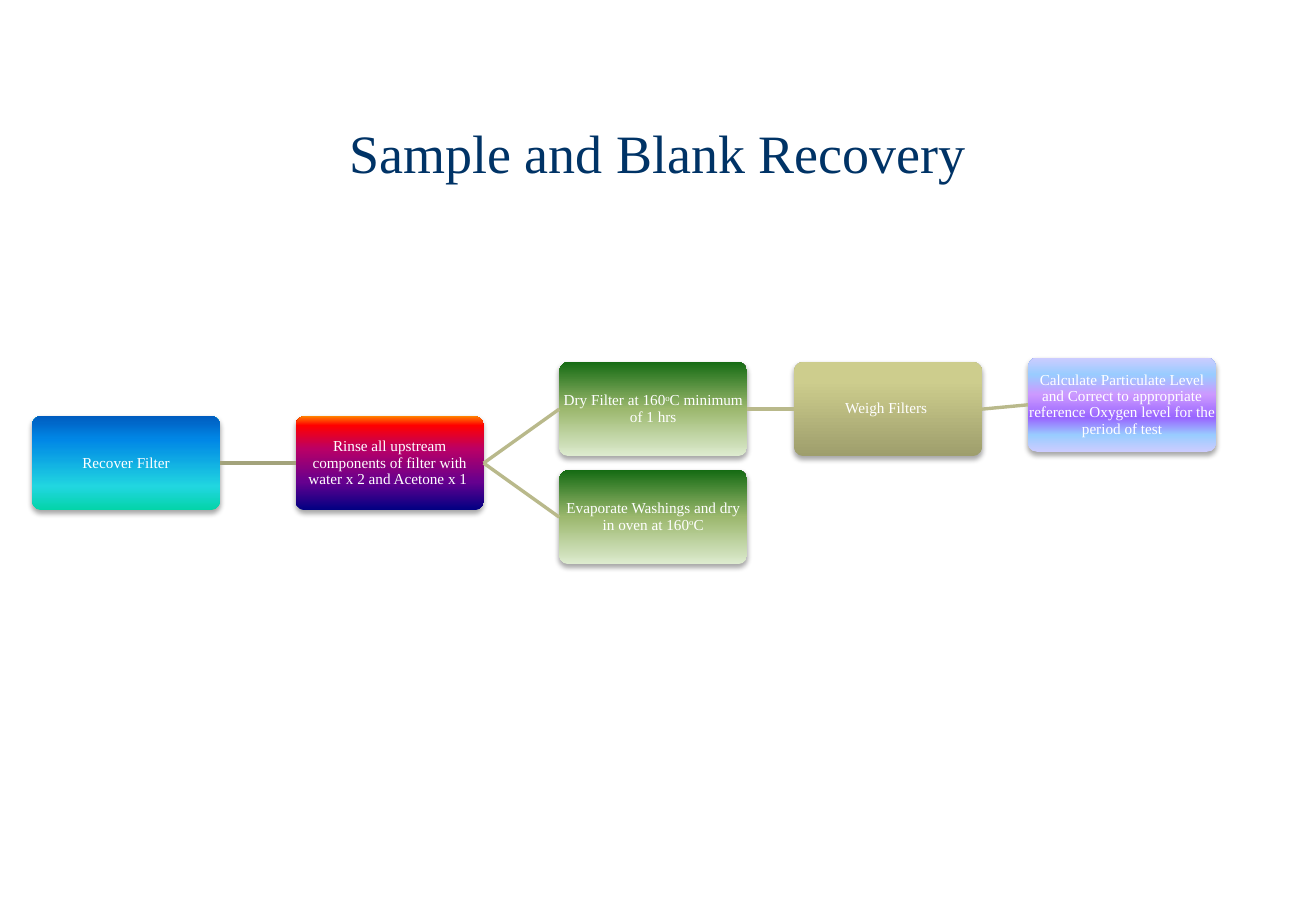
from dataclasses import dataclass

from lxml.etree import SubElement
from pptx import Presentation
from pptx.dml.color import RGBColor as Rgb
from pptx.enum.shapes import MSO_CONNECTOR as Link, MSO_SHAPE as Kind
from pptx.enum.text import MSO_ANCHOR as Anchor, MSO_AUTO_SIZE as Fit, PP_ALIGN as Align
from pptx.oxml import parse_xml
from pptx.oxml.ns import nsdecls, qn
from pptx.shapes.autoshape import Shape
from pptx.slide import Slide
from pptx.text.text import TextFrame
from pptx.util import Cm, Pt

Stops = tuple[tuple[int, str], ...]


@dataclass(frozen=True)
class Theme:
    font: str = "Times New Roman"
    head: str = "003366"
    text: str = "FFFFFF"
    dark: str = "A3A37B"
    pale: str = "B9B98B"
    shade: str = "000000"
    big: int = 32
    small: int = 9
    line: int = 2
    blue: Stops = ((0, "03D4A8"), (25, "21D6E0"), (75, "0087E6"), (100, "005CBF"))
    fire: Stops = ((0, "000082"), (30, "66008F"), (65, "BA0066"), (90, "FF0000"), (100, "FF8200"))
    green: Stops = ((0, "DDEBCF"), (50, "9CB86E"), (100, "156B13"))
    sand: Stops = ((0, "9E9E6C"), (80, "CDCD8D"), (100, "CFCF8C"))
    violet: Stops = ((0, "CCCCFF"), (18, "99CCFF"), (36, "9966FF"),
                     (61, "CC99FF"), (82, "99CCFF"), (100, "CCCCFF"))


@dataclass(frozen=True)
class Step:
    words: tuple[str, ...]  # every second piece is superscript
    left: float
    top: float
    stops: Stops


@dataclass(frozen=True)
class Join:
    start: str
    end: str
    color: str


LOOK = Theme()
WIDE, HIGH = 3.93, 1.97
MID, SHIFT = 8.7, 1.13
UP, DOWN = MID - SHIFT, MID + SHIFT

STEPS = {
    "recover": Step(("Recover Filter",), 0.67, MID, LOOK.blue),
    "rinse": Step(("Rinse all upstream components of filter with water x 2 and Acetone x 1 ",),
                  6.18, MID, LOOK.fire),
    "dry": Step(("Dry Filter at 160", "o", "C minimum of 1 hrs"), 11.69, UP, LOOK.green),
    "weigh": Step(("Weigh Filters ",), 16.6, UP, LOOK.sand),
    "level": Step(("Calculate Particulate Level and Correct to appropriate reference "
                   "Oxygen level for the period of test",), 21.49, 7.48, LOOK.violet),
    "wash": Step(("Evaporate Washings and dry in oven at 160", "o", "C"), 11.69, DOWN, LOOK.green),
}
JOINS = (
    Join("recover", "rinse", LOOK.dark),
    Join("rinse", "dry", LOOK.pale),
    Join("dry", "weigh", LOOK.pale),
    Join("weigh", "level", LOOK.pale),
    Join("rinse", "wash", LOOK.pale),
)


def style(frame: TextFrame, size: int, color: str, lead: float) -> None:
    frame.word_wrap = True
    frame.auto_size = Fit.NONE
    frame.vertical_anchor = Anchor.MIDDLE
    para = frame.paragraphs[0]
    para.alignment = Align.CENTER
    para.line_spacing = lead
    for run in para.runs:
        run.font.name = LOOK.font
        run.font.size = Pt(size)
        run.font.color.rgb = Rgb.from_string(color)


def paint(box: Shape, stops: Stops) -> None:
    """Fill with an upward gradient and add a soft shadow below."""
    marks = "".join(f'<a:gs pos="{pos * 1000}"><a:srgbClr val="{color}"/></a:gs>'
                    for pos, color in stops)
    box.line.fill.background()
    line = box._element.spPr.find(qn("a:ln"))
    line.addprevious(parse_xml(
        f'<a:gradFill {nsdecls("a")} rotWithShape="1"><a:gsLst>{marks}</a:gsLst>'
        '<a:lin ang="16200000" scaled="0"/></a:gradFill>'))
    box.shadow.inherit = False
    box._element.spPr.find(qn("a:effectLst")).append(parse_xml(
        f'<a:outerShdw {nsdecls("a")} blurRad="{Pt(3.1)}" dist="{Pt(1.8)}" dir="5400000" '
        f'rotWithShape="0"><a:srgbClr val="{LOOK.shade}"><a:alpha val="35000"/>'
        '</a:srgbClr></a:outerShdw>'))


def draw_step(slide: Slide, step: Step) -> Shape:
    area = Cm(step.left), Cm(step.top), Cm(WIDE), Cm(HIGH)
    box = slide.shapes.add_shape(Kind.ROUNDED_RECTANGLE, *area)
    box.adjustments[0] = 0.1
    paint(box, step.stops)

    # The label spans the full box, past the rounded corners
    frame = slide.shapes.add_textbox(*area).text_frame
    frame.margin_left = frame.margin_right = Cm(0.02)
    frame.margin_top = frame.margin_bottom = Cm(0.02)
    for i, word in enumerate(step.words):
        run = frame.paragraphs[0].add_run()
        run.text = word
        if i % 2:
            run.font._element.set("baseline", "30000")
    style(frame, LOOK.small, LOOK.text, 0.9)
    return box


def draw_join(slide: Slide, join: Join, boxes: dict[str, Shape]) -> None:
    line = slide.shapes.add_connector(Link.STRAIGHT, 0, 0, 0, 0)
    line.begin_connect(boxes[join.start], 3)  # right side
    line.end_connect(boxes[join.end], 1)  # left side
    line.line.color.rgb = Rgb.from_string(join.color)
    line.line.width = Pt(LOOK.line)
    SubElement(line._element.spPr, qn("a:effectLst"))


def main() -> None:
    deck = Presentation()
    deck.slide_width, deck.slide_height = Cm(27.51), Cm(19.05)
    slide = deck.slides.add_slide(deck.slide_layouts[5])

    # Title
    title = slide.shapes.title
    title.left, title.top, title.width, title.height = Cm(2.06), Cm(1.7), Cm(23.39), Cm(3.18)
    title.text_frame.text = "Sample and Blank Recovery"
    style(title.text_frame, LOOK.big, LOOK.head, 0.85)

    # Flow
    boxes = {name: draw_step(slide, step) for name, step in STEPS.items()}
    for join in JOINS:
        draw_join(slide, join, boxes)

    deck.save("out.pptx")


if __name__ == "__main__":
    main()
